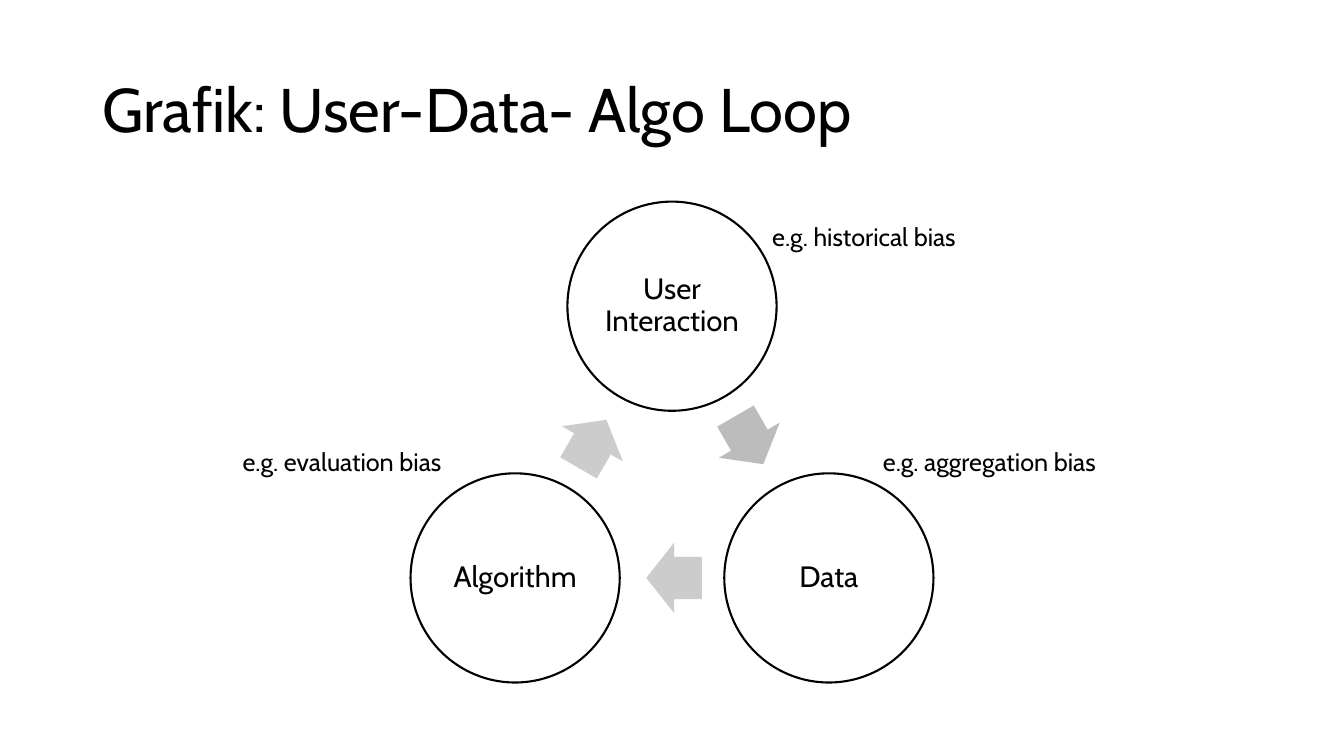
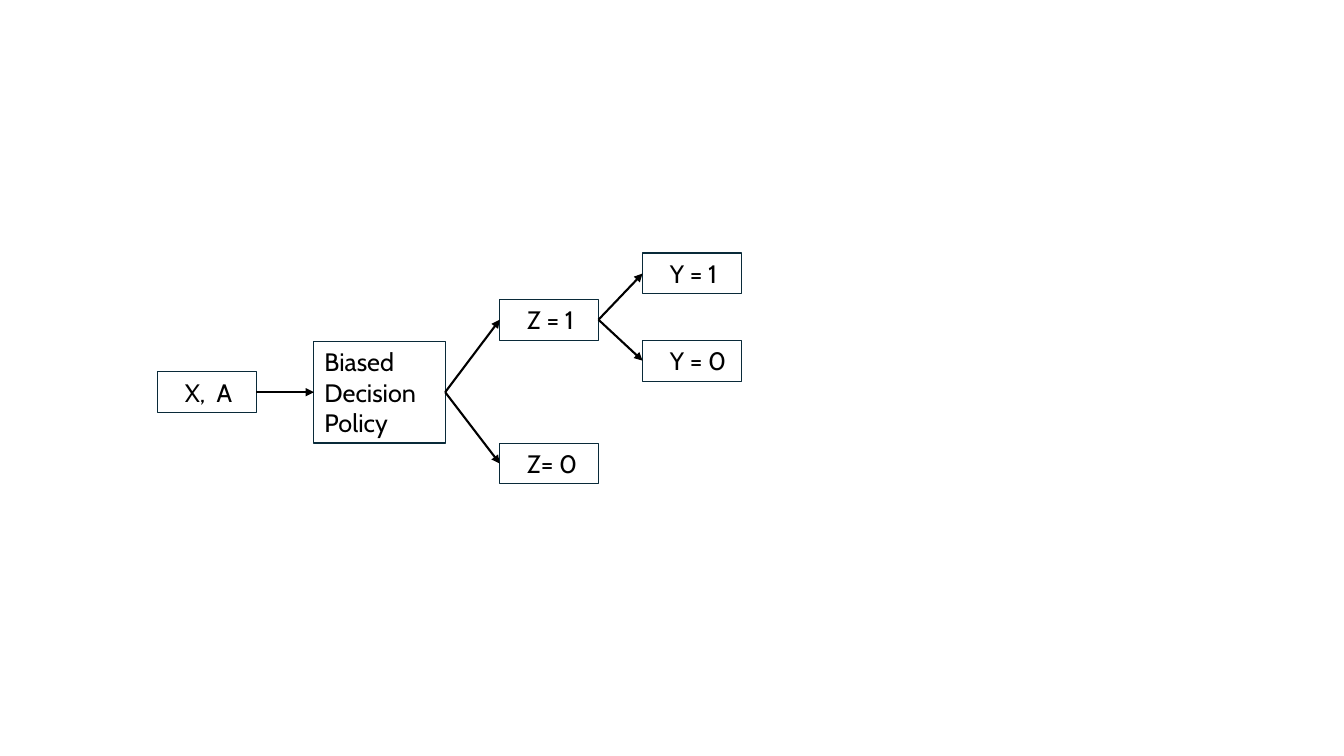
"""Build two slides: a user-data-algorithm loop and a biased decision tree."""
from math import cos, radians, sin, sqrt

from lxml.etree import SubElement
from pptx import Presentation
from pptx.dml.color import RGBColor
from pptx.enum.shapes import MSO_CONNECTOR, MSO_SHAPE
from pptx.enum.text import MSO_ANCHOR, MSO_AUTO_SIZE, PP_ALIGN
from pptx.oxml.ns import qn
from pptx.util import Emu, Pt

EMU_PER_PX = 9525
FONT = "Cabin"
COLORS = {
    "ink": "000000",
    "box_line": "092A39",
    "dark_arrow": "595959",
    "arrow": "808080",
}


def px(*lengths):
    """Turn pixel lengths into a list of EMU."""
    return [Emu(round(length * EMU_PER_PX)) for length in lengths]


def color(name):
    """Look up a named colour."""
    return RGBColor.from_string(COLORS[name])


def write(frame, text, size, align=PP_ALIGN.LEFT, spacing=None):
    """Fill a text frame and format its paragraphs and runs."""
    frame.text = text
    frame.word_wrap = True
    for paragraph in frame.paragraphs:
        paragraph.alignment = align
        paragraph.line_spacing = spacing
        for run in paragraph.runs:
            run.font.name = FONT
            run.font.size = Pt(size)
            run.font.color.rgb = color("ink")


def add_outline(slide, kind, box, line, weight):
    """Add an unfilled outlined shape."""
    shape = slide.shapes.add_shape(kind, *px(*box))
    shape.shadow.inherit = False
    shape.fill.background()
    shape.line.color.rgb = color(line)
    shape.line.width = Pt(weight)
    return shape


def add_title(slide, text, box):
    """Place and style the title placeholder."""
    title = slide.shapes.title
    title.left, title.top, title.width, title.height = px(*box)
    title.text_frame.vertical_anchor = MSO_ANCHOR.MIDDLE
    write(title.text_frame, text, 44, spacing=0.9)


def add_stage(slide, name, center_x, center_y, diameter):
    """Add one circle of the loop around its centre."""
    box = (center_x - diameter / 2, center_y - diameter / 2, diameter, diameter)
    circle = add_outline(slide, MSO_SHAPE.OVAL, box, "ink", 1.5)
    frame = circle.text_frame
    frame.margin_left, frame.margin_top, frame.margin_right, frame.margin_bottom = px(3, 3, 3, 3)
    frame.vertical_anchor = MSO_ANCHOR.MIDDLE
    write(frame, name, 21, PP_ALIGN.CENTER, 0.9)


def add_loop_arrow(slide, center_x, center_y, rotation, fill):
    """Add a translucent block arrow around its centre."""
    length, breadth = 53, 67
    arrow = slide.shapes.add_shape(
        MSO_SHAPE.RIGHT_ARROW,
        *px(center_x - length / 2, center_y - breadth / 2, length, breadth))
    arrow.adjustments[0], arrow.adjustments[1] = 0.6, 0.5
    arrow.rotation = rotation
    arrow.shadow.inherit = False
    arrow.line.fill.background()
    arrow.fill.solid()
    arrow.fill.fore_color.rgb = color(fill)
    tint = arrow.fill._xPr.find(qn("a:solidFill"))[0]
    SubElement(tint, qn("a:alpha"), val="40000")


def draw_loop(slide, left, top, width):
    """Draw three stages on a ring, with arrows and bias labels."""
    stages = [
        ("User Interaction", "e.g. historical bias", 86, -86, 213, "dark_arrow"),
        ("Data", "e.g. aggregation bias", 42, -130, 243, "arrow"),
        ("Algorithm", "e.g. evaluation bias", -269, -130, 226, "arrow"),
    ]
    diameter = 0.4 * width
    radius = (width - diameter) / sqrt(3)
    middle_x, middle_y = left + width / 2, top + diameter / 2 + radius
    arrow_radius, lag = radius / 2, 2

    for index, (name, bias, label_dx, label_dy, label_width, fill) in enumerate(stages):
        angle = radians(120 * index - 90)
        center_x = middle_x + radius * cos(angle)
        center_y = middle_y + radius * sin(angle)
        add_stage(slide, name, center_x, center_y, diameter)

        rotation = 60 + 120 * index
        outward, heading = radians(rotation - 90), radians(rotation)
        add_loop_arrow(
            slide,
            middle_x + arrow_radius * cos(outward) - lag * cos(heading),
            middle_y + arrow_radius * sin(outward) - lag * sin(heading),
            rotation, fill)

        label = slide.shapes.add_textbox(
            *px(center_x + label_dx, center_y + label_dy, label_width, 39))
        write(label.text_frame, bias, 18)


def add_node(slide, text, box, indent):
    """Add one bordered box of the decision tree."""
    node = add_outline(slide, MSO_SHAPE.RECTANGLE, box, "box_line", 0.75)
    frame = node.text_frame
    write(frame, text, 18)
    frame.auto_size = MSO_AUTO_SIZE.SHAPE_TO_FIT_TEXT
    frame.margin_left = px(indent)[0]
    frame.margin_right = 0
    return node


def link(slide, source, target):
    """Join the right side of one node to the left side of another."""
    arrow = slide.shapes.add_connector(MSO_CONNECTOR.STRAIGHT, 0, 0, 0, 0)
    arrow.begin_connect(source, 3)
    arrow.end_connect(target, 1)
    arrow.line.color.rgb = color("ink")
    arrow.line.width = Pt(1.5)
    SubElement(arrow.line._get_or_add_ln(), qn("a:tailEnd"), type="triangle")
    SubElement(arrow._element.spPr, qn("a:effectLst"))


def draw_decision_tree(slide, left, top):
    """Draw the decision nodes and the arrows between them."""
    small, large = (94, 39, 26), (125, 97, 10)
    layout = {
        "input": ("X,  A", 0, 113, small),
        "policy": ("Biased\nDecision\nPolicy", 149, 84, large),
        "accepted": ("Z = 1", 326, 44, small),
        "rejected": ("Z= 0", 326, 181, small),
        "positive": ("Y = 1", 462, 0, small),
        "negative": ("Y = 0", 462, 83, small),
    }
    nodes = {
        key: add_node(slide, text, (left + dx, top + dy, width, height), indent)
        for key, (text, dx, dy, (width, height, indent)) in layout.items()
    }
    for source, target in [
        ("input", "policy"),
        ("policy", "accepted"),
        ("policy", "rejected"),
        ("accepted", "positive"),
        ("accepted", "negative"),
    ]:
        link(slide, nodes[source], nodes[target])


def main():
    """Build and save the presentation."""
    deck = Presentation()
    deck.slide_width, deck.slide_height = px(1280, 720)
    title_only, blank = deck.slide_layouts[5], deck.slide_layouts[6]

    loop_slide = deck.slides.add_slide(title_only)
    add_title(loop_slide, "Grafik: User-Data- Algo Loop", (88, 38, 1104, 139))
    draw_loop(loop_slide, 391, 192, 498)

    tree_slide = deck.slides.add_slide(blank)
    draw_decision_tree(tree_slide, 150, 241)

    deck.save("out.pptx")


if __name__ == "__main__":
    main()
